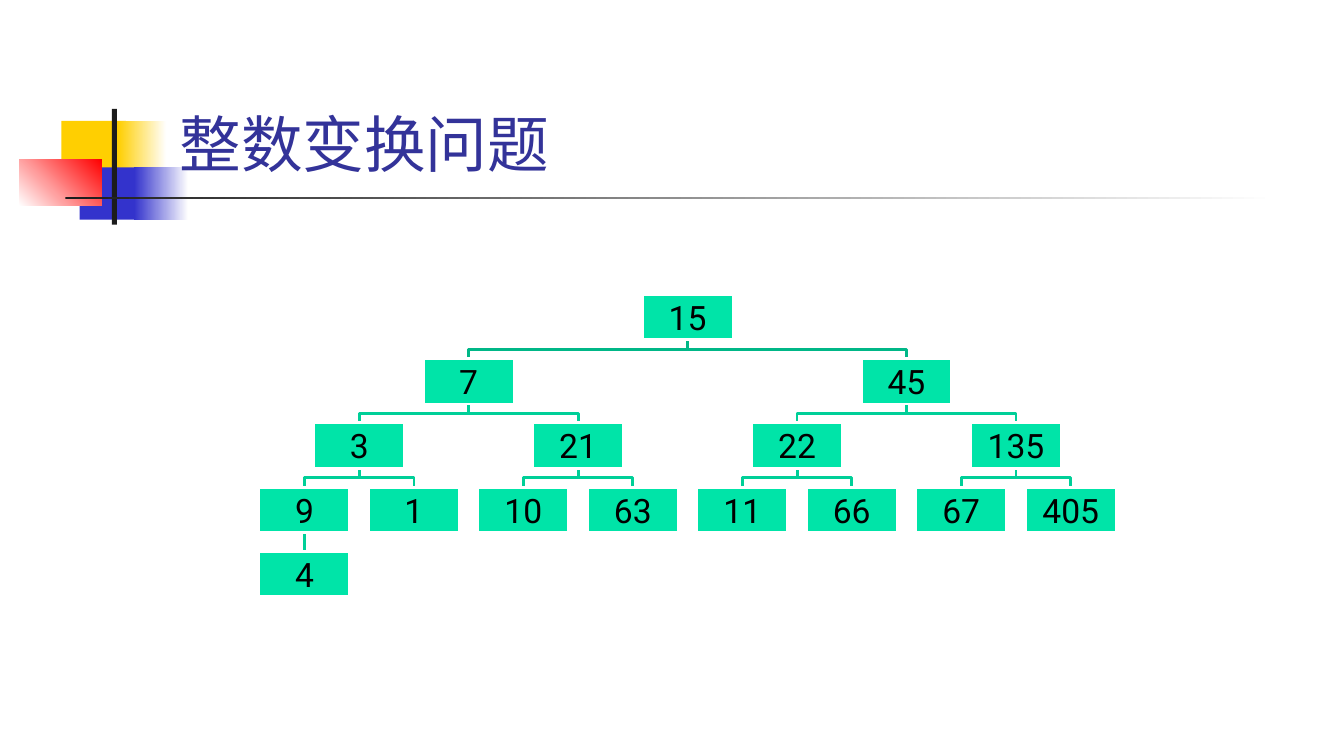
import itertools
from dataclasses import dataclass

import pptx
import pptx.dml.color
import pptx.enum.shapes
import pptx.enum.text
import pptx.oxml
import pptx.util
from pptx.oxml.ns import qn

TITLE = "整数变换问题"
TREE = ("15", [
    ("7", [
        ("3", [("9", [("4", [])]), ("1", [])]),
        ("21", [("10", []), ("63", [])]),
    ]),
    ("45", [
        ("22", [("11", []), ("66", [])]),
        ("135", [("67", []), ("405", [])]),
    ]),
])


@dataclass(frozen=True)
class Theme:
    font: str = "Roboto"
    title_size: int = 44
    node_size: int = 24
    line_width: int = 2
    title: str = "333399"
    text: str = "000000"
    paper: str = "FFFFFF"
    node: str = "00E4A8"
    root_branch: str = "00B787"
    branch: str = "00CF98"
    yellow: str = "FFCF01"
    blue: str = "3333CC"
    red: str = "FF0000"
    dark: str = "1C1C1C"


T = Theme()
DECOR = [
    ((0.61, 1.2, 0.64, 0.52), (T.yellow,), 0),
    ((1.17, 1.2, 0.48, 0.52), (T.yellow, T.paper), 0),
    ((0.79, 1.66, 0.62, 0.52), (T.blue,), 0),
    ((1.33, 1.66, 0.54, 0.52), (T.blue, T.paper), 0),
    ((0.19, 1.58, 0.82, 0.46), (T.paper, T.red), 45),
    ((1.11, 1.08, 0.05, 1.15), (T.dark,), 0),
    ((0.65, 1.95, 12, 0.03), (T.dark, T.paper), 0),
]
FIRST_X, LAST_X, LEAVES = 3.02, 10.62, 8
TOP_Y, BOTTOM_Y, LEVELS = 2.92, 5.47, 5
NODE_W, NODE_H = 0.9, 0.45
COL = (LAST_X - FIRST_X) / (LEAVES - 1)
ROW = (BOTTOM_Y - TOP_Y) / (LEVELS - 1)

inch = pptx.util.Inches
rgb = pptx.dml.color.RGBColor.from_string


def add_rect(s, box, colors, angle=0):
    sp = s.shapes.add_shape(pptx.enum.shapes.MSO_SHAPE.RECTANGLE, *map(inch, box))
    sp.shadow.inherit = False
    sp.line.fill.background()
    if len(colors) == 1:
        sp.fill.solid()
        sp.fill.fore_color.rgb = rgb(colors[0])
    else:
        sp.fill.gradient()
        sp.fill.gradient_angle = angle
        for stop, color in zip(sp.fill.gradient_stops, colors):
            stop.color.rgb = rgb(color)
    return sp


def style_line(sp, color):
    sp.line.color.rgb = rgb(color)
    sp.line.width = pptx.util.Pt(T.line_width)


def style_text(p, size, color):
    for r in p.runs:
        r.font.name = T.font
        r.font.size = pptx.util.Pt(size)
        r.font.color.rgb = rgb(color)


def place(node, level, leaf_numbers, nodes, branches):
    label, children = node
    if children:
        xs = [place(c, level + 1, leaf_numbers, nodes, branches) for c in children]
        x = sum(xs) / len(xs)
        branches.extend((level, x, child_x) for child_x in xs)
    else:
        x = FIRST_X + next(leaf_numbers) * COL
    nodes.append((label, level, x))
    return x


def add_branch(s, level, x, child_x):
    y = TOP_Y + level * ROW + NODE_H
    end = TOP_Y + (level + 1) * ROW
    mid = (y + end) / 2
    if x == child_x:
        sp = s.shapes.add_connector(
            pptx.enum.shapes.MSO_CONNECTOR.STRAIGHT, *map(inch, (x, y, x, end)))
        pptx.oxml.ns
        sp.element.spPr.append(sp.element.makeelement(qn("a:effectLst"), {}))
    else:
        fb = s.shapes.build_freeform(inch(x), inch(y))
        corners = [(x, mid), (child_x, mid), (child_x, end)]
        fb.add_line_segments([(inch(a), inch(b)) for a, b in corners], close=False)
        sp = fb.convert_to_shape()
        sp.shadow.inherit = False
        sp.fill.background()
    style_line(sp, T.branch if level else T.root_branch)


def add_node(s, label, level, x):
    sp = add_rect(s, (x - NODE_W / 2, TOP_Y + level * ROW, NODE_W, NODE_H), (T.node,))
    style_line(sp, T.paper)
    tf = sp.text_frame
    tf.margin_left = tf.margin_right = tf.margin_top = tf.margin_bottom = inch(0.02)
    tf.vertical_anchor = pptx.enum.text.MSO_ANCHOR.MIDDLE
    p = tf.paragraphs[0]
    p.text = label
    p.alignment = pptx.enum.text.PP_ALIGN.CENTER
    style_text(p, T.node_size, T.text)


def add_title(s):
    sp = s.shapes.title
    sp.left, sp.top, sp.width, sp.height = map(inch, (1.68, 0.23, 11.36, 1.6))
    tf = sp.text_frame
    tf.text = TITLE
    tf.word_wrap = True
    tf.auto_size = pptx.enum.text.MSO_AUTO_SIZE.NONE
    tf.vertical_anchor = pptx.enum.text.MSO_ANCHOR.BOTTOM
    p = tf.paragraphs[0]
    p.alignment = pptx.enum.text.PP_ALIGN.LEFT
    style_text(p, T.title_size, T.title)
    sp.element.getparent().append(sp.element)


def main():
    prs = pptx.Presentation()
    prs.slide_width, prs.slide_height = inch(13.33), inch(7.5)
    s = prs.slides.add_slide(prs.slide_layouts.get_by_name("Title Only"))
    for box, colors, angle in DECOR:
        add_rect(s, box, colors, angle)
    add_title(s)
    nodes, branches = [], []
    place(TREE, 0, itertools.count(), nodes, branches)
    for branch in branches:
        add_branch(s, *branch)
    for node in nodes:
        add_node(s, *node)
    prs.save("out.pptx")


if __name__ == "__main__":
    main()
